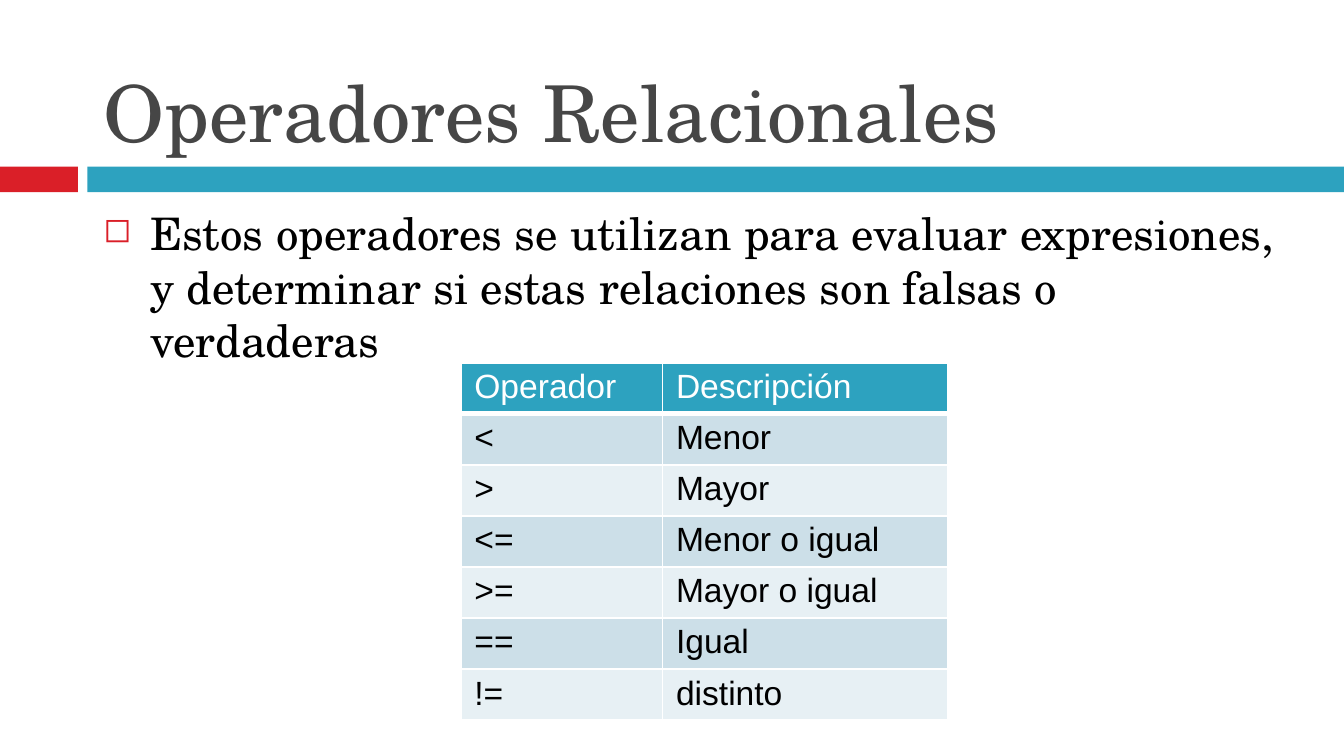
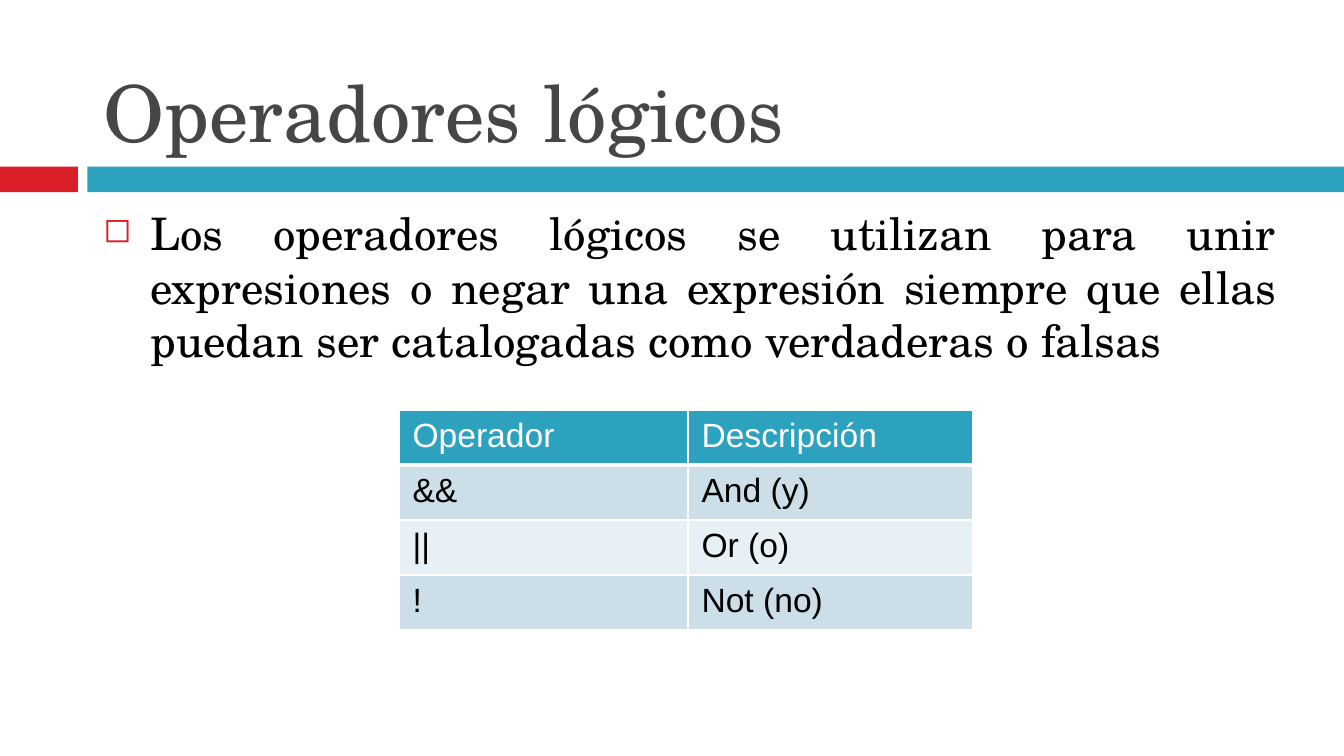
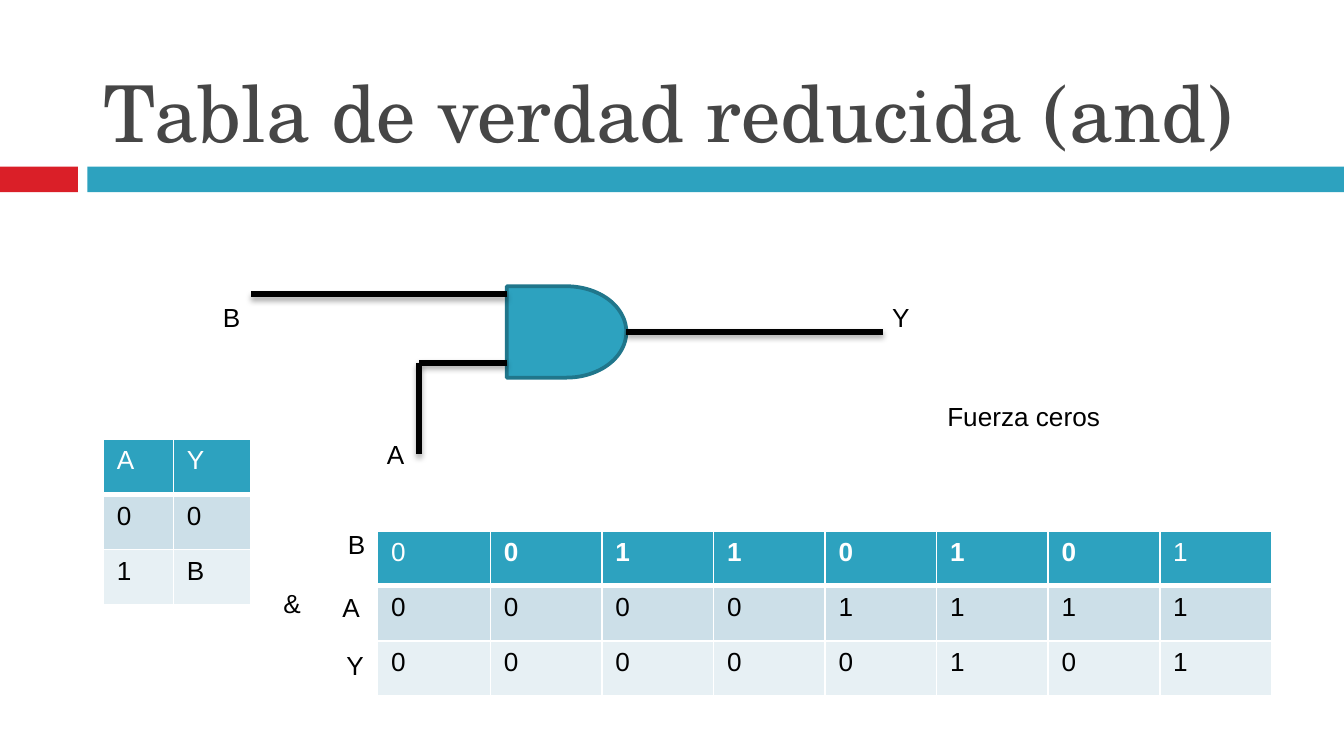
from lxml.etree import SubElement
from pptx import Presentation
from pptx.dml.color import RGBColor
from pptx.enum.shapes import MSO_CONNECTOR, MSO_SHAPE
from pptx.enum.text import MSO_ANCHOR, MSO_AUTO_SIZE, PP_ALIGN
from pptx.oxml.ns import qn
from pptx.util import Inches, Pt

TEAL = RGBColor(0x2D, 0xA2, 0xBF)
DEEP = RGBColor(0x20, 0x76, 0x8B)
RED = RGBColor(0xDA, 0x1F, 0x28)
GREY = RGBColor(0x46, 0x46, 0x46)
BLACK = RGBColor(0, 0, 0)
WHITE = RGBColor(0xFF, 0xFF, 0xFF)
PALE = RGBColor(0xE7, 0xF0, 0xF4)
SOFT = RGBColor(0xCC, 0xDF, 0xE8)
SERIF = "TeX Gyre Schola"
SANS = "Arial"


def write(frame, text, size=14, font=SANS, color=BLACK, bold=False,
          align=PP_ALIGN.LEFT, anchor=MSO_ANCHOR.TOP):
    frame.vertical_anchor = anchor
    line = frame.paragraphs[0]
    line.alignment = align
    run = line.add_run()
    run.text = text
    run.font.size = Pt(size)
    run.font.name = font
    run.font.bold = bold
    run.font.color.rgb = color
    return line


def add_form(slide, kind, box, fill, edge=None):
    form = slide.shapes.add_shape(kind, *map(Inches, box))
    form.shadow.inherit = False
    form.fill.solid()
    form.fill.fore_color.rgb = fill
    if edge:
        form.line.color.rgb = edge
        form.line.width = Pt(2)
    else:
        form.line.fill.background()
    return form


def add_page(deck, title):
    slide = deck.slides.add_slide(deck.slide_layouts[5])
    add_form(slide, MSO_SHAPE.RECTANGLE, (0, 1.24, 0.58, 0.19), RED)
    add_form(slide, MSO_SHAPE.RECTANGLE, (0.65, 1.24, 9.35, 0.19), TEAL)
    head = slide.shapes.title
    head.left, head.top = Inches(0.67), Inches(0.13)
    head.width, head.height = Inches(8.92), Inches(1.1)
    head.text_frame.auto_size = MSO_AUTO_SIZE.NONE
    write(head.text_frame, title, size=42, font=SERIF, color=GREY,
          anchor=MSO_ANCHOR.BOTTOM)
    return slide


def add_body(slide, box, text, align=PP_ALIGN.LEFT):
    frame = slide.shapes.add_textbox(*map(Inches, box)).text_frame
    frame.word_wrap = True
    line = write(frame, text, size=24, font=SERIF, align=align)
    props = line._p.get_or_add_pPr()
    props.set("marL", str(Inches(0.35)))
    props.set("indent", str(-Inches(0.35)))
    tint = SubElement(props, qn("a:buClr"))
    SubElement(tint, qn("a:srgbClr"), val=str(RED))
    SubElement(props, qn("a:buSzPct"), val="76000")
    SubElement(props, qn("a:buChar"), char="◻")


def add_label(slide, left, top, text, width=0.33):
    box = map(Inches, (left, top, width, 0.34))
    frame = slide.shapes.add_textbox(*box).text_frame
    frame.word_wrap = False
    frame.auto_size = MSO_AUTO_SIZE.SHAPE_TO_FIT_TEXT
    write(frame, text)


def add_edge(props, side, width):
    edge = SubElement(props, qn(f"a:ln{side}"), w=str(Pt(width)))
    fill = SubElement(edge, qn("a:solidFill"))
    SubElement(fill, qn("a:srgbClr"), val=str(WHITE))


def add_grid(slide, left, top, widths, height, rows, size, pad=0.05):
    box = map(Inches, (left, top, sum(widths), height * len(rows)))
    table = slide.shapes.add_table(len(rows), len(widths), *box).table
    for col, width in zip(table.columns, widths):
        col.width = Inches(width)
    for r, texts in enumerate(rows):
        table.rows[r].height = Inches(height)
        for c, text in enumerate(texts):
            cell = table.cell(r, c)
            cell.margin_top = cell.margin_bottom = Inches(pad)
            props = cell._tc.get_or_add_tcPr()
            for side in "LRTB":
                thick = (r, side) in ((0, "B"), (1, "T"))
                add_edge(props, side, 3 if thick else 1)
            cell.fill.solid()
            cell.fill.fore_color.rgb = TEAL if r == 0 else SOFT if r % 2 else PALE
            write(cell.text_frame, text, size=size,
                  color=BLACK if r else WHITE,
                  bold=r == 0 and 0 < c < len(texts) - 1)


def add_wire(slide, start, end):
    ends = map(Inches, (*start, *end))
    wire = slide.shapes.add_connector(MSO_CONNECTOR.STRAIGHT, *ends)
    wire.line.color.rgb = BLACK
    wire.line.width = Pt(3)
    mood = SubElement(wire._element.spPr, qn("a:effectLst"))
    shade = SubElement(mood, qn("a:outerShdw"), blurRad=str(Pt(3.1)),
                       dist=str(Pt(1.8)), dir="5400000", rotWithShape="0")
    tint = SubElement(shade, qn("a:srgbClr"), val=str(BLACK))
    SubElement(tint, qn("a:alpha"), val="35000")
    return wire


def add_gate(slide, box):
    left, top, width, height = box
    right, mid = left + width, top + height / 2
    high, low = top + 0.06, top + 0.57
    bend = left - 0.65
    gate = add_form(slide, MSO_SHAPE.FLOWCHART_DELAY, box, TEAL, DEEP)
    add_wire(slide, (left - 1.9, high), (left, high))
    out = add_wire(slide, (right, mid), (right + 1.91, mid))
    out.begin_connect(gate, 3)
    add_wire(slide, (bend, low), (left, low))
    add_wire(slide, (bend, low + 0.68), (bend, low))
    add_label(slide, left - 2.21, high, "B")
    add_label(slide, right + 1.88, high, "Y")
    add_label(slide, left - 0.99, top + 1.08, "A")


def add_truth(slide, left, top):
    rows = ["00110101", "00001111", "00000101"]
    add_grid(slide, left, top, [0.84] + [0.83] * 7, 0.41, rows, 14)
    for text, across, down in (("&", -0.8, 0.37), ("B", -0.32, -0.07),
                               ("A", -0.36, 0.4), ("Y", -0.33, 0.83)):
        add_label(slide, left + across, top + down, text)


def main():
    deck = Presentation()
    deck.slide_width = Inches(10)
    deck.slide_height = deck.slide_width * 9 // 16
    heads = ("Operador", "Descripción")

    slide = add_page(deck, "Operadores Relacionales")
    add_body(slide, (0.67, 1.48, 8.98, 3.57),
             "Estos operadores se utilizan para evaluar expresiones, "
             "y determinar si estas relaciones son falsas o verdaderas")
    add_grid(slide, 3.43, 2.7, [1.5, 2.12], 0.3, [
        heads, ("<", "Menor"), (">", "Mayor"), ("<=", "Menor o igual"),
        (">=", "Mayor o igual"), ("==", "Igual"), ("!=", "distinto")],
        18, pad=0.04)

    slide = add_page(deck, "Operadores lógicos")
    add_body(slide, (0.67, 1.48, 8.92, 3.57),
             "Los operadores lógicos se utilizan para unir expresiones o "
             "negar una expresión siempre que ellas puedan ser catalogadas "
             "como verdaderas o falsas", align=PP_ALIGN.JUSTIFY)
    add_grid(slide, 2.97, 3.05, [2.15, 2.12], 0.41, [
        heads, ("&&", "And (y)"), ("||", "Or (o)"), ("!", "Not (no)")], 18)

    slide = add_page(deck, "Tabla de verdad reducida (and)")
    add_grid(slide, 0.77, 3.27, [0.52, 0.58], 0.41, ["AY", "00", "1B"], 14)
    add_gate(slide, (3.77, 2.13, 0.89, 0.68))
    add_truth(slide, 2.81, 3.95)
    add_label(slide, 6.95, 2.93, "Fuerza ceros", width=1.34)

    deck.save("out.pptx")


if __name__ == "__main__":
    main()
